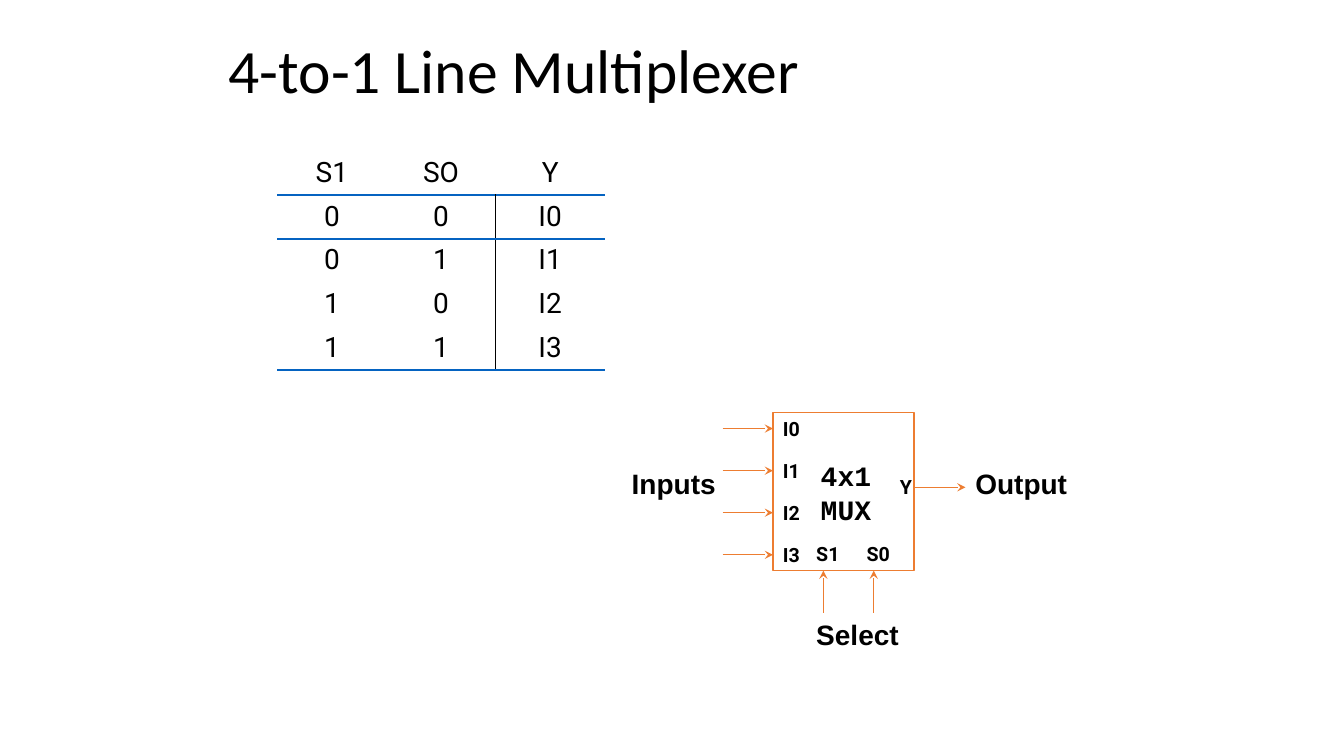
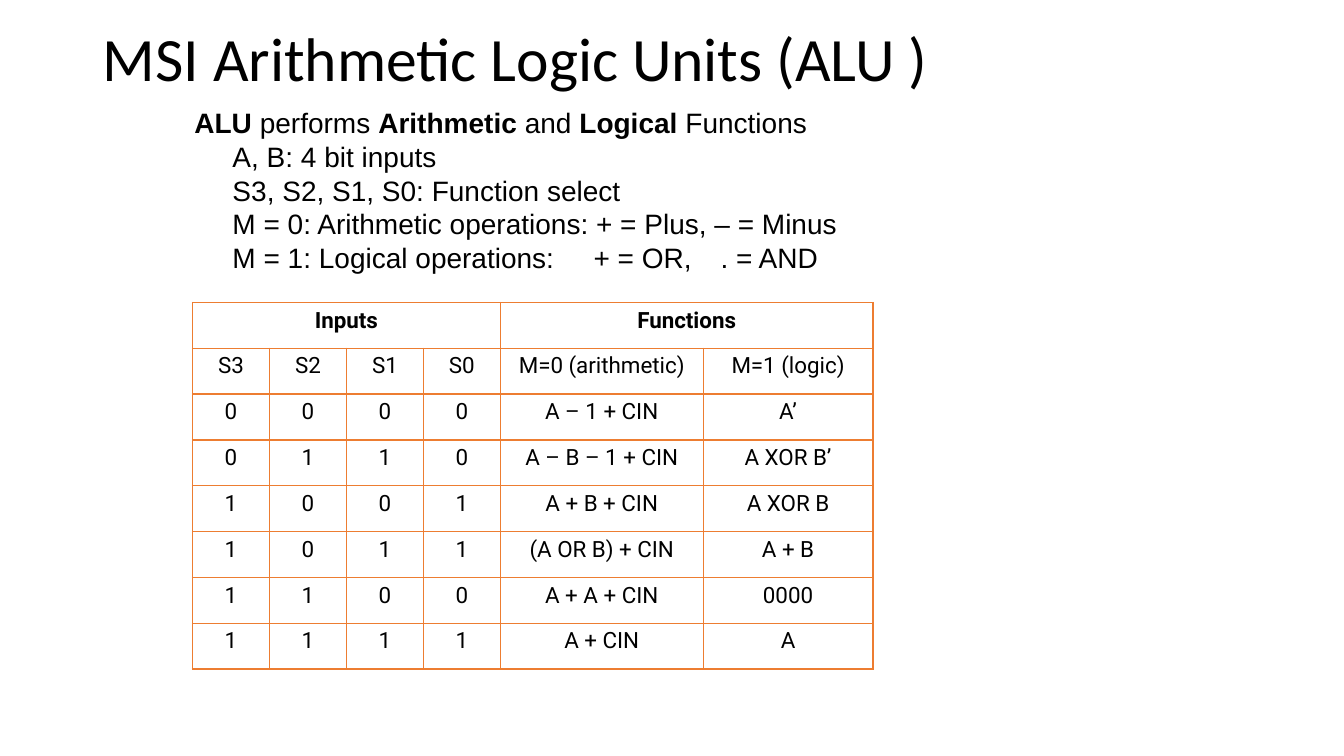
"""Build two slides on multiplexers and arithmetic logic units."""
from lxml.etree import SubElement
from pptx import Presentation
from pptx.dml.color import RGBColor
from pptx.enum.shapes import MSO_CONNECTOR, MSO_SHAPE
from pptx.enum.text import MSO_ANCHOR as Anchor, PP_ALIGN as Align
from pptx.oxml.ns import qn
from pptx.util import Cm, Pt

BLACK = RGBColor(0x00, 0x00, 0x00)
BLUE = RGBColor(0x05, 0x63, 0xC1)
ORANGE = RGBColor(0xED, 0x7D, 0x31)
PLAIN_TABLE = "{2D5ABB26-0587-4C30-8999-92F81FD0307C}"
SIDES = "LRTB"


class Deck:
    title_font, body_font, label_font, code_font = "Calibri", "Arial", "Roboto", "Courier New"

    def __init__(self):
        self.prs = Presentation()
        self.prs.slide_width, self.prs.slide_height = Cm(33.87), Cm(19.05)
        self.slide = None

    def new_slide(self):
        self.slide = self.prs.slides.add_slide(self.prs.slide_layouts[6])

    def style(self, paragraph, font, size, bold=False, align=Align.LEFT):
        paragraph.alignment = align
        for run in paragraph.runs:
            run.font.name, run.font.size = font, Pt(size)
            run.font.color.rgb = BLACK
            if run.font.bold is None:
                run.font.bold = bold

    def text(self, content, left, top, width, height, font=body_font, size=20,
             bold=False, align=Align.LEFT, spacing=None, anchor=Anchor.TOP, tabs=()):
        box = self.slide.shapes.add_textbox(Cm(left), Cm(top), Cm(width), Cm(height))
        frame = box.text_frame
        frame.word_wrap, frame.vertical_anchor = True, anchor
        frame.text = content
        for paragraph in frame.paragraphs:
            if tabs:
                stops = SubElement(paragraph._p.get_or_add_pPr(), qn("a:tabLst"))
                for position in tabs:
                    SubElement(stops, qn("a:tab"), pos=str(Cm(position)), algn="l")
            paragraph.line_spacing = spacing
            self.style(paragraph, font, size, bold, align)
        return frame

    def title(self, content, left, top, width, height):
        self.text(content, left, top, width, height, self.title_font, 44,
                  spacing=0.9, anchor=Anchor.MIDDLE)

    def emphasis(self, phrases, left, top, width, height, spacing):
        paragraph = self.text("", left, top, width, height, spacing=spacing).paragraphs[0]
        for index, phrase in enumerate(phrases):
            run = paragraph.add_run()
            run.text = phrase
            run.font.bold = index % 2 == 0
        self.style(paragraph, self.body_font, 20)

    def caption(self, content, left, top, width):
        self.text(content, left, top, width, 1.12, bold=True)

    def pin(self, content, left, top, width=1.48):
        self.text(content, left, top, width, 0.86, self.label_font, 14, True)

    def block(self, left, top, width, height):
        body = self.slide.shapes.add_shape(
            MSO_SHAPE.RECTANGLE, Cm(left), Cm(top), Cm(width), Cm(height))
        body.shadow.inherit = False
        body.fill.background()
        body.line.color.rgb, body.line.width = ORANGE, Pt(1)

    def arrow(self, x1, y1, x2, y2):
        wire = self.slide.shapes.add_connector(
            MSO_CONNECTOR.STRAIGHT, Cm(x1), Cm(y1), Cm(x2), Cm(y2))
        wire.line.color.rgb, wire.line.width = ORANGE, Pt(1)
        SubElement(wire.line._get_or_add_ln(), qn("a:tailEnd"), type="stealth")
        SubElement(wire._element.spPr, qn("a:effectLst"))

    def border(self, cell, edges):
        properties = cell._tc.get_or_add_tcPr()
        for side in SIDES:
            if side in edges:
                color, points = edges[side]
                line = SubElement(properties, qn(f"a:ln{side}"), w=str(Pt(points)))
                fill = SubElement(line, qn("a:solidFill"))
                SubElement(fill, qn("a:srgbClr"), val=str(color))

    def table(self, rows, left, top, widths, height, size, edges, bold_rows=0, spans=()):
        grid = self.slide.shapes.add_table(
            len(rows), len(widths), Cm(left), Cm(top), Cm(sum(widths)), Cm(height)).table
        grid.first_row = grid.horz_banding = False
        grid._tbl.tblPr.find(qn("a:tableStyleId")).text = PLAIN_TABLE
        for column, width in zip(grid.columns, widths):
            column.width = Cm(width)
        for r, values in enumerate(rows):
            grid.rows[r].height = Cm(height / len(rows))
            for c, value in enumerate(values):
                cell = grid.cell(r, c)
                cell.text_frame.text = value
                self.style(cell.text_frame.paragraphs[0], self.label_font, size,
                           r < bold_rows, Align.CENTER)
                self.border(cell, edges(r, c))
                cell.fill.background()
        for first, last in spans:
            grid.cell(0, first).merge(grid.cell(0, last))


def multiplexer_edges(row, column):
    edges = {"B": (BLUE, 1.5)} if row in (0, 4) else {}
    if row == 1:
        edges["T"] = (BLUE, 1.5)
    if row and column:
        edges["R" if column == 1 else "L"] = (BLACK, 1)
    return edges


def alu_edges(row, column):
    return dict.fromkeys(SIDES, (ORANGE, 1))


def multiplexer_slide(deck):
    deck.new_slide()
    deck.title("4-to-1 Line Multiplexer", 5.51, 0.76, 22.86, 2.18)
    truth = [("S1", "SO", "Y")]
    truth += [(str(n // 2), str(n % 2), f"I{n}") for n in range(4)]
    deck.table(truth, 6.99, 3.81, [2.75] * 3, 5.51, 20, multiplexer_edges)

    block_left, block_top, block_width, block_height = 19.48, 10.39, 3.56, 3.99
    block_right = block_left + block_width
    block_bottom = block_top + block_height
    pin_offset, output_y, select_y = 0.43, 12.28, 15.44
    deck.block(block_left, block_top, block_width, block_height)
    for n in range(4):
        input_y = 10.8 + 1.06 * n
        deck.arrow(block_left - 1.27, input_y, block_left, input_y)
        deck.pin(f"I{n}", block_left, input_y - pin_offset)
    for name, select_x in (("S1", 20.75), ("S0", 22.02)):
        deck.arrow(select_x, select_y, select_x, block_bottom)
        deck.pin(name, select_x - pin_offset, 13.54)
    deck.arrow(block_right, output_y, 24.33, output_y)
    deck.pin("Y", 22.43, output_y - pin_offset, 0.86)
    deck.text("4x1\nMUX", 20.05, 11.43, 2.54, 1.96, deck.code_font, 20, True, Align.CENTER)
    deck.caption("Inputs", 15.67, 11.63, 2.75)
    deck.caption("Output", 24.33, 11.63, 2.97)
    deck.caption("Select", 20.32, select_y, 3.18)


def alu_slide(deck):
    deck.new_slide()
    deck.title("MSI Arithmetic Logic Units (ALU )", 2.34, 0.56, 29.21, 1.98)
    deck.emphasis(["ALU", " performs ", "Arithmetic", " and ", "Logical", " Functions"],
                  4.65, 2.54, 17.78, 1.1, Pt(24))
    details = (
        "A, B: 4 bit inputs\n"
        "S3, S2, S1, S0: Function select\n"
        "M = 0: Arithmetic operations: + = Plus, – = Minus\n"
        "M = 1: Logical operations:\t+ = OR,\t. = AND"
    )
    deck.text(details, 5.61, 3.39, 16.82, 3.8, spacing=Pt(24), tabs=(9.1, 12.3))
    functions = [
        ("0000", "A – 1 + CIN", "A’"),
        ("0110", "A – B – 1 + CIN", "A XOR B’"),
        ("1001", "A + B + CIN", "A XOR B"),
        ("1011", "(A OR B) + CIN", "A + B"),
        ("1100", "A + A + CIN", "0000"),
        ("1111", "A + CIN", "A"),
    ]
    rows = [("Inputs", "", "", "", "Functions", ""),
            ("S3", "S2", "S1", "S0", "M=0 (arithmetic)", "M=1 (logic)")]
    rows += [(*select, arithmetic, logic) for select, arithmetic, logic in functions]
    deck.table(rows, 4.85, 7.62, [1.94] * 4 + [5.11, 4.28], 9.24, 16, alu_edges,
               bold_rows=1, spans=[(0, 3), (4, 5)])


def main():
    deck = Deck()
    multiplexer_slide(deck)
    alu_slide(deck)
    deck.prs.save("out.pptx")


if __name__ == "__main__":
    main()
